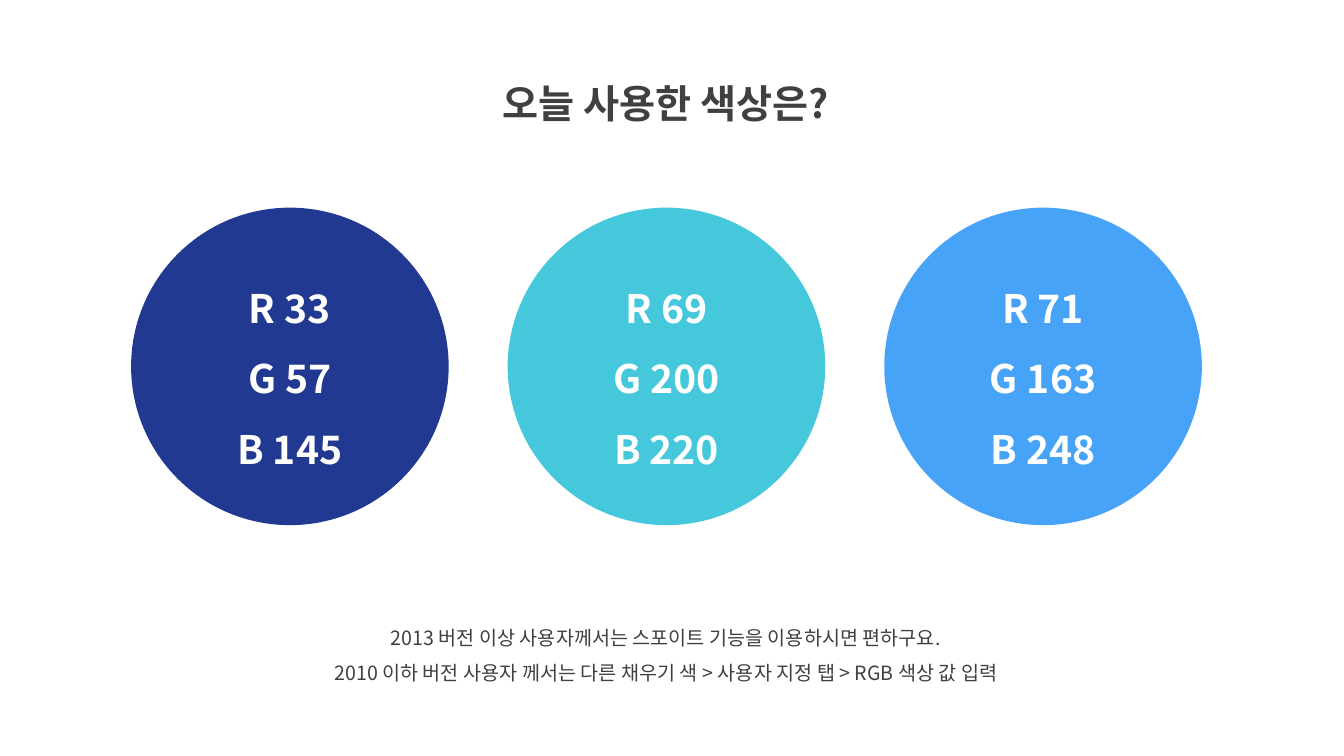
from dataclasses import dataclass

from lxml.etree import SubElement
from pptx import Presentation
from pptx.dml.color import RGBColor
from pptx.enum.shapes import MSO_SHAPE
from pptx.enum.text import MSO_ANCHOR, MSO_AUTO_SIZE, PP_ALIGN
from pptx.oxml.ns import qn
from pptx.util import Inches, Pt


@dataclass(frozen=True)
class Theme:
    font: str = "Noto Sans CJK KR"
    text: RGBColor = RGBColor(64, 64, 64)
    white: RGBColor = RGBColor(255, 255, 255)
    swatches: tuple = ((33, 57, 145), (69, 200, 220), (71, 163, 248))
    large: Pt = Pt(28)
    small: Pt = Pt(14)


theme = Theme()


def format_text(tf, size, color, bold, anchor):
    tf.word_wrap = True
    tf.vertical_anchor = anchor
    for p in tf.paragraphs:
        p.alignment = PP_ALIGN.CENTER
        p.line_spacing = 1.5
        p.space_before = Pt(0)
        for r in p.runs:
            r.font.size = size
            r.font.bold = bold
            r.font.color.rgb = color
            r.font.name = theme.font
            SubElement(r.font._element, qn("a:ea"), typeface=theme.font)


def place(sp, left, top, width, height):
    sp.left, sp.top = Inches(left), Inches(top)
    sp.width, sp.height = Inches(width), Inches(height)


prs = Presentation()
prs.slide_width, prs.slide_height = Inches(13.33), Inches(7.5)
s = prs.slides.add_slide(prs.slide_layouts[1])

title = s.shapes.title
place(title, 4.29, 0.5, 4.63, 0.72)
title.text_frame.text = "오늘 사용한 색상은?"
title.text_frame.auto_size = MSO_AUTO_SIZE.SHAPE_TO_FIT_TEXT
format_text(title.text_frame, theme.large, theme.text, True, MSO_ANCHOR.TOP)

body = s.placeholders[1]
place(body, 2.61, 6.04, 7.99, 0.81)
tf = body.text_frame
tf.text = (
    "2013 버전 이상 사용자께서는 스포이트 기능을 이용하시면 편하구요.\n"
    "2010 이하 버전 사용자 께서는 다른 채우기 색 > 사용자 지정 탭 > RGB 색상 값 입력"
)
tf.auto_size = MSO_AUTO_SIZE.SHAPE_TO_FIT_TEXT
for p in tf.paragraphs:
    pPr = p._p.get_or_add_pPr()
    pPr.set("marL", "0")
    pPr.set("indent", "0")
    SubElement(pPr, qn("a:buNone"))
format_text(tf, theme.small, theme.text, False, MSO_ANCHOR.TOP)

diameter, gap = 3.15, 0.585
for i, rgb in enumerate(theme.swatches):
    left = 1.3 + i * (diameter + gap)
    sp = s.shapes.add_shape(
        MSO_SHAPE.OVAL, Inches(left), Inches(2.06), Inches(diameter), Inches(diameter)
    )
    sp.shadow.inherit = False
    sp.fill.solid()
    sp.fill.fore_color.rgb = RGBColor(*rgb)
    sp.line.fill.background()
    sp.text_frame.text = "\n".join(f"{name} {value}" for name, value in zip("RGB", rgb))
    format_text(sp.text_frame, theme.large, theme.white, True, MSO_ANCHOR.MIDDLE)

prs.save("out.pptx")
